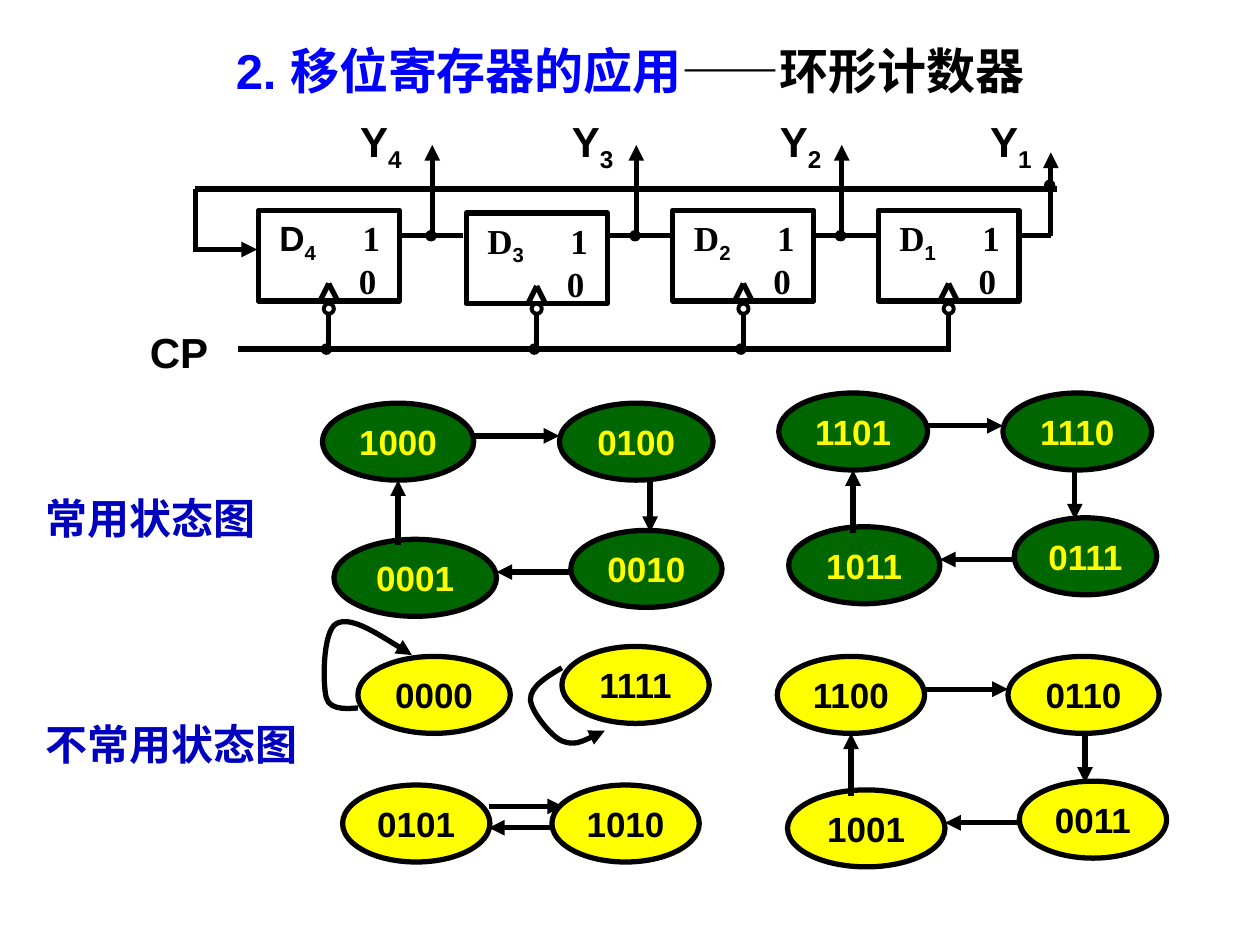
from pptx import Presentation
from pptx.dml.color import RGBColor
from pptx.enum.lang import MSO_LANGUAGE_ID
from pptx.enum.shapes import MSO_CONNECTOR, MSO_SHAPE
from pptx.enum.text import MSO_ANCHOR, PP_ALIGN
from pptx.oxml.ns import qn
from pptx.oxml.xmlchemy import OxmlElement
from pptx.util import Pt

BLACK = RGBColor(0, 0, 0)
WHITE = RGBColor(255, 255, 255)
BLUE = RGBColor(0, 0, 255)
DARK_BLUE = RGBColor(0, 0, 0xBF)
GREEN = RGBColor(0, 0x66, 0)
YELLOW = RGBColor(255, 255, 0)
SANS, SERIF = "Arial", "Times New Roman"

USED = (GREEN, YELLOW)  # fill and text colour of the states in use
UNUSED = (YELLOW, BLACK)

# Flip-flops: index, font of D, left, top, x of the output tap, left of the Y label
STAGES = [
    ("4", SANS, 147.6, 120.2, 247, 198.7),
    ("3", SERIF, 266.4, 121.7, 363.6, 319.7),
    ("2", SERIF, 384.5, 120.2, 481, 438.5),
    ("1", SERIF, 501.8, 120.2, 600.5, 558.7),
]
BOX_WIDTH, BOX_HEIGHT = 80.6, 51.8
OUTPUT_Y, FEEDBACK_Y, CLOCK_Y = 134.6, 108, 199.4
FEEDBACK_X = 111.6
DOT = 5.8

# Rings of four states, clockwise: colours, x of the downward arrow, (text, left, top, width)
STATE_HEIGHT = 44
RINGS = [
    (USED, 371.5, [("1000", 184.3, 230.4, 86.4), ("0100", 319.7, 230.4, 87.8),
                   ("0010", 326.2, 303.1, 86.4), ("0001", 190.8, 308.2, 92.9)]),
    (UNUSED, 620, [("1100", 444.2, 375.1, 84.2), ("0110", 576, 375.1, 86.4),
                   ("0011", 582.5, 446.4, 84.2), ("1001", 450, 451.4, 90)]),
    (USED, 614.2, [("1101", 445, 224.6, 85), ("1110", 573.1, 224.6, 85),
                   ("0111", 579.6, 295.9, 81.4), ("1011", 450.7, 301, 86.4)]),
]
OTHER_STATES = [("0000", 204.5, 375.1, 87.1), ("1111", 321.1, 369.4, 84.2),
                ("0101", 195.8, 448.6, 84.2), ("1010", 315.4, 448.6, 84.2)]
SWAP_ARROWS = [(279.4, 460.8, 321.8, 460.8), (315.4, 473, 279.4, 473)]
# Bezier points of the arrows from a state back to itself
SELF_LOOPS = [
    [(204.5, 404.6), (201.6, 404.6), (188.6, 406.8), (186.5, 398.9), (184.3, 391),
     (184.3, 360.7), (192.2, 356.4), (200.2, 352.1), (218.2, 363.6), (235.4, 374.4)],
    [(321.1, 381.6), (312.5, 386.6), (303.1, 392.4), (303.1, 399.6), (303.1, 406.1),
     (314.6, 420.5), (321.1, 423.4), (328.3, 426.2), (337, 421.9), (345.6, 417.6)],
]
CAPTIONS = [("常用状态图", 18.7, 277.9), ("不常用状态图", 18.7, 406.8)]

presentation = Presentation()
presentation.slide_width, presentation.slide_height = Pt(720), Pt(540)
slide = presentation.slides.add_slide(presentation.slide_layouts[6])
shapes = slide.shapes


def add_run(paragraph, text, size=20, font=SANS, color=BLACK, subscript=False):
    run = paragraph.add_run()
    run.text = text
    run.font.size, run.font.name, run.font.bold = Pt(size), font, True
    run.font.color.rgb = color
    if not text.isascii():
        run.font.language_id = MSO_LANGUAGE_ID.SIMPLIFIED_CHINESE
    if subscript:
        run.font._element.set("baseline", "-25000")


def add_label(text, left, top, width, height, subscript="", align=PP_ALIGN.LEFT, **style):
    box = shapes.add_textbox(Pt(left), Pt(top), Pt(width), Pt(height))
    box.text_frame.word_wrap = True
    paragraph = box.text_frame.paragraphs[0]
    paragraph.alignment = align
    add_run(paragraph, text, **style)
    if subscript:
        add_run(paragraph, subscript, size=style["size"], subscript=True)
    return paragraph


def add_arrowhead(line):
    tail = OxmlElement("a:tailEnd")
    tail.set("type", "triangle")
    line._get_or_add_ln().append(tail)


def add_line(x1, y1, x2, y2, arrow=False):
    connector = shapes.add_connector(MSO_CONNECTOR.STRAIGHT, Pt(x1), Pt(y1), Pt(x2), Pt(y2))
    connector.line.color.rgb, connector.line.width = BLACK, Pt(3)
    if arrow:
        add_arrowhead(connector.line)
    connector._element.spPr.append(OxmlElement("a:effectLst"))


def add_outline(kind, left, top, width, height, fill=None, weight=3):
    shape = shapes.add_shape(kind, Pt(left), Pt(top), Pt(width), Pt(height))
    shape.shadow.inherit = False
    if fill is None:
        shape.fill.background()
    else:
        shape.fill.solid()
        shape.fill.fore_color.rgb = fill
    shape.line.color.rgb, shape.line.width = BLACK, Pt(weight)
    return shape


def add_dot(left, top, fill=BLACK, weight=0.75):
    add_outline(MSO_SHAPE.OVAL, left, top, DOT, DOT, fill, weight)


def add_state(text, left, top, width, colors):
    fill, color = colors
    shape = add_outline(MSO_SHAPE.OVAL, left, top, width, STATE_HEIGHT, fill)
    frame = shape.text_frame
    frame.word_wrap, frame.vertical_anchor = False, MSO_ANCHOR.MIDDLE
    frame.paragraphs[0].alignment = PP_ALIGN.CENTER
    add_run(frame.paragraphs[0], text, color=color)


def add_curve(points):
    """Build a freeform, then turn each three line segments into one Bezier segment."""
    start, *rest = [(Pt(x), Pt(y)) for x, y in points]
    builder = shapes.build_freeform(*start)
    builder.add_line_segments(rest, close=False)
    shape = builder.convert_to_shape()
    shape.shadow.inherit = False
    shape.fill.background()
    shape.line.color.rgb, shape.line.width = BLACK, Pt(3)
    add_arrowhead(shape.line)
    outline = next(shape._element.iter(qn("a:path")))
    segments = outline.findall(qn("a:lnTo"))
    for first in range(0, len(segments), 3):
        bezier = OxmlElement("a:cubicBezTo")
        for segment in segments[first:first + 3]:
            bezier.append(segment[0])
            outline.remove(segment)
        outline.append(bezier)


def add_ring(colors, down_x, states):
    for state in states:
        add_state(*state, colors)
    (_, left0, top0, width0), (_, left1, top1, _), (_, left2, top2, _), (_, left3, top3, width3) = states
    up_x = left0 + width0 / 2
    add_line(left0 + width0, top0 + 18.7, left1, top0 + 18.7, arrow=True)
    add_line(down_x, top1 + STATE_HEIGHT, down_x, top2 + 1, arrow=True)
    add_line(left2, top2 + 23.8, left3 + width3, top2 + 23.8, arrow=True)
    add_line(up_x, top3 + 3.5, up_x, top0 + STATE_HEIGHT, arrow=True)


def add_stage(index, font, left, top, tap_x, label_left, last):
    bottom, clock_x = top + BOX_HEIGHT, left + 40.3
    add_label("Y", label_left, 62.6, 46.8, 36, subscript=index, size=24)
    add_outline(MSO_SHAPE.RECTANGLE, left, top, BOX_WIDTH, BOX_HEIGHT)
    add_label("D", left + 5, top, 42, 31, subscript=index, size=20, font=font)
    add_label(" 1", left + 47.5, top, 30.2, 31, font=SERIF)
    add_label("0", left + 50.4, top + 24.8, 30.2, 31, font=SERIF)
    add_line(clock_x, bottom, clock_x, CLOCK_Y + 1)
    for foot in (-5, 5):
        add_line(clock_x, top + 41.8, clock_x + foot, bottom)
    add_dot(left + 37.4, 173.5, WHITE, 2.25)
    add_line(left + BOX_WIDTH, OUTPUT_Y, tap_x if last else left + 117, OUTPUT_Y)
    add_line(tap_x, OUTPUT_Y, tap_x, 87.1 if last else 82.8, arrow=True)
    add_dot(tap_x - 3.6, FEEDBACK_Y - 5 if last else OUTPUT_Y - 2.8)
    if not last:
        add_dot(left + 36, CLOCK_Y - 2.8)


title = add_label("2. 移位寄存器的应用", 0, 19.4, 720, 41, align=PP_ALIGN.CENTER, size=28, color=BLUE)
add_run(title, "——环形计数器", size=28)
for text, left, top in CAPTIONS:
    add_label(text, left, top, 181, 36, size=24, font=SERIF, color=DARK_BLUE)

for ring in RINGS:
    add_ring(*ring)
for state in OTHER_STATES:
    add_state(*state, UNUSED)
for arrow in SWAP_ARROWS:
    add_line(*arrow, arrow=True)
for loop in SELF_LOOPS:
    add_curve(loop)

add_label("CP", 78.5, 182.9, 54, 36, size=24)
add_line(543.5, CLOCK_Y, 136, CLOCK_Y)
add_line(604, FEEDBACK_Y, FEEDBACK_X, FEEDBACK_Y)
add_line(FEEDBACK_X, FEEDBACK_Y, FEEDBACK_X, 144)
add_line(FEEDBACK_X, 142.6, 146.9, 142.6, arrow=True)
for stage in STAGES:
    add_stage(*stage, last=stage is STAGES[-1])

presentation.save("out.pptx")
